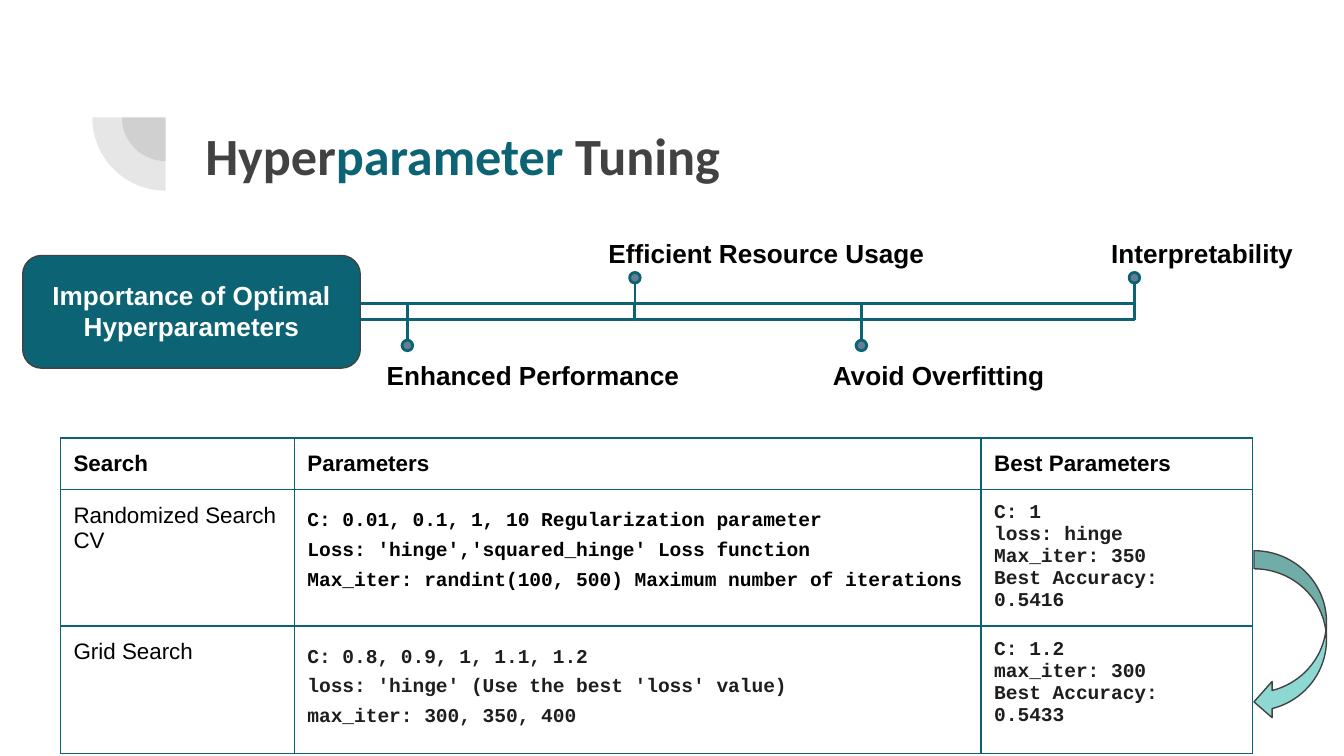
from lxml import etree
from pptx import Presentation
from pptx.dml.color import RGBColor
from pptx.enum.shapes import MSO_CONNECTOR, MSO_SHAPE
from pptx.enum.text import MSO_ANCHOR, PP_ALIGN
from pptx.oxml.ns import qn
from pptx.util import Cm, Pt

LEFT, CENTER = PP_ALIGN.LEFT, PP_ALIGN.CENTER
TOP = MSO_ANCHOR.TOP
PIE, OVAL, RECT = MSO_SHAPE.PIE, MSO_SHAPE.OVAL, MSO_SHAPE.RECTANGLE
ROUND, CURVE = MSO_SHAPE.ROUNDED_RECTANGLE, MSO_SHAPE.CURVED_LEFT_ARROW
STRAIGHT = MSO_CONNECTOR.STRAIGHT


class Theme:
    teal, gray, dot, mint = "0B6374", "424242", "667E92", "8DD8D3"
    black, ink, white = "000000", "1E1E1E", "FFFFFF"
    sans, head, mono = "Arial", "Calibri", "Courier New"
    title, label, cell, code = 28, 14, 12, 10.5
    thin, thick = 0.75, 1.5
    inset = 0.25


# Content
TITLE = [("Hyper", Theme.gray), ("parameter", Theme.teal), (" Tuning", Theme.gray)]
TOPIC = "Importance of Optimal Hyperparameters"
START = 3.4
PINS = [  # pin x, points up, label, label left, label width
    (7.7, False, "Enhanced Performance", 7.06, 6.7),
    (12.0, True, "Efficient Resource Usage", 11.25, 7.34),
    (16.28, False, "Avoid Overfitting", 15.49, 5.87),
    (21.44, True, "Interpretability", 20.75, 4.42),
]
HEADS = ["Search", "Parameters", "Best Parameters"]
ROWS = [  # search, parameters, parameter colour, best values
    ("Randomized Search CV",
     ["C: 0.01, 0.1, 1, 10 Regularization parameter",
      "Loss: 'hinge','squared_hinge' Loss function",
      "Max_iter: randint(100, 500) Maximum number of iterations"],
     Theme.black,
     ["C: 1", "loss: hinge", "Max_iter: 350", "Best Accuracy: 0.5416"]),
    ("Grid Search",
     ["C: 0.8, 0.9, 1, 1.1, 1.2",
      "loss: 'hinge' (Use the best 'loss' value)",
      "max_iter: 300, 350, 400"],
     Theme.ink,
     ["C: 1.2", "max_iter: 300", "Best Accuracy: 0.5433"]),
]
COLS, HIGHS = [4.42, 12.98, 5.13], [0.91, 2.29, 2.41]

deck = Presentation()
deck.slide_width, deck.slide_height = Cm(25.4), Cm(14.29)
slide = deck.slides.add_slide(deck.slide_layouts[5])
shapes = slide.shapes


def rgb(tone):
    return RGBColor.from_string(tone)


def add_run(para, text, size, font, tone, bold=True):
    run = para.add_run()
    run.text = text
    run.font.size, run.font.name, run.font.bold = Pt(size), font, bold
    run.font.color.rgb = rgb(tone)


def set_frame(frame):
    frame.word_wrap = True
    frame.vertical_anchor = TOP
    frame.margin_left = frame.margin_right = Cm(Theme.inset)
    frame.margin_top = frame.margin_bottom = Cm(Theme.inset)


def add_form(kind, x, y, w, h, fill=None, line=None, width=Theme.thin):
    form = shapes.add_shape(kind, Cm(x), Cm(y), Cm(w), Cm(h))
    form.shadow.inherit = False
    if fill:
        form.fill.solid()
        form.fill.fore_color.rgb = rgb(fill)
    else:
        form.fill.background()
    if line:
        form.line.color.rgb = rgb(line)
        form.line.width = Pt(width)
    else:
        form.line.fill.background()
    return form


def add_label(text, x, y, w, h, tone, align=LEFT):
    frame = shapes.add_textbox(Cm(x), Cm(y), Cm(w), Cm(h)).text_frame
    set_frame(frame)
    para = frame.paragraphs[0]
    para.alignment = align
    add_run(para, text, Theme.label, Theme.sans, tone)


def add_line(x, top, end):
    line = shapes.add_connector(STRAIGHT, Cm(x), Cm(top), Cm(x), Cm(end))
    line.line.color.rgb = rgb(Theme.teal)
    line.line.width = Pt(Theme.thick)
    etree.SubElement(line._element.spPr, qn("a:effectLst"))


def fill_cell(cell, lines, size, font, tone, bold, space=None):
    props = cell._tc.get_or_add_tcPr()
    for side in ("lnL", "lnR", "lnT", "lnB"):
        edge = etree.SubElement(props, qn("a:" + side), w=str(Pt(Theme.thin)))
        paint = etree.SubElement(edge, qn("a:solidFill"))
        etree.SubElement(paint, qn("a:srgbClr"), val=Theme.teal)
    cell.fill.background()
    cell.vertical_anchor = TOP
    cell.margin_left = cell.margin_right = Cm(Theme.inset)
    cell.margin_top = cell.margin_bottom = Cm(Theme.inset)
    frame = cell.text_frame
    for i, text in enumerate(lines):
        para = frame.add_paragraph() if i else frame.paragraphs[0]
        if space:
            para.line_spacing = space
        add_run(para, text, size, font, tone, bold)


# Quarter circles beside the title
for size in (1.65, 2.77):
    pie = add_form(PIE, 3.13 - size / 2, 2.22 - size / 2, size, size, Theme.gray)
    pie.adjustments[0], pie.adjustments[1] = 108, 162
    pie.rotation = 270
    tint = pie._element.spPr.find(qn("a:solidFill"))[0]
    etree.SubElement(tint, qn("a:alpha"), val="13000")

# Title
title = shapes.title
title.left, title.top, title.width, title.height = Cm(3.63), Cm(2.08), Cm(19.53), Cm(2.13)
set_frame(title.text_frame)
para = title.text_frame.paragraphs[0]
para.alignment = LEFT
for text, tone in TITLE:
    add_run(para, text, Theme.title, Theme.head, tone)

# Table
grid = shapes.add_table(len(HIGHS), len(COLS), Cm(1.14), Cm(8.28),
                        Cm(sum(COLS)), Cm(sum(HIGHS))).table
grid.first_row = grid.horz_banding = False
for col, wide in zip(grid.columns, COLS):
    col.width = Cm(wide)
for row, high in zip(grid.rows, HIGHS):
    row.height = Cm(high)
for c, text in enumerate(HEADS):
    fill_cell(grid.cell(0, c), [text], Theme.cell, Theme.sans, Theme.black, True)
for r, (name, params, tone, best) in enumerate(ROWS, 1):
    fill_cell(grid.cell(r, 0), [name], Theme.cell, Theme.sans, Theme.black, False)
    fill_cell(grid.cell(r, 1), params, Theme.code, Theme.mono, tone, True, 1.36)
    fill_cell(grid.cell(r, 2), best, Theme.code, Theme.mono, Theme.ink, True)

# Timeline: bar segment, pin, dot and label for each benefit
BAR, THICK, PIN, DOT = 5.74, 0.3, 0.79, 0.2
left = START
for x, up, text, start, wide in PINS:
    add_form(RECT, left, BAR, x - left, THICK, None, Theme.teal, Theme.thick)
    top = BAR + THICK - PIN if up else BAR
    add_line(x, top, top + PIN)
    tip = top if up else top + PIN
    add_form(OVAL, x - DOT / 2, tip - DOT / 2, DOT, DOT,
             Theme.dot, Theme.teal, Theme.thick)
    add_label(text, start, 4.24 if up else 6.55, wide, 0.64, Theme.black)
    left = x

# Topic box
add_form(ROUND, 0.43, 4.83, 6.38, 2.13, Theme.teal, Theme.gray)
add_label(TOPIC, 0.51, 5.03, 6.22, 1.09, Theme.white, CENTER)

# Arrow from the first search to the second
add_form(CURVE, 23.7, 10.41, 1.37, 3.2, Theme.mint, Theme.gray)

deck.save("out.pptx")
